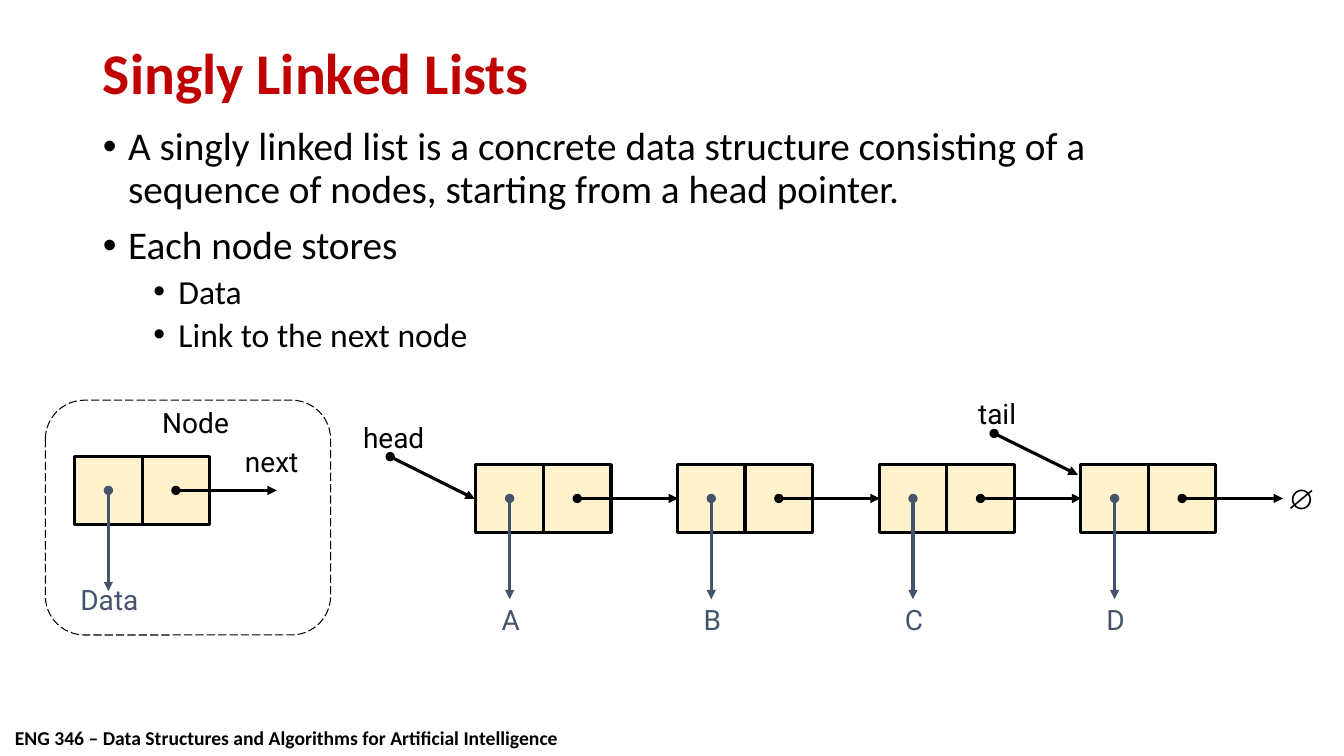
"""Build the slide on singly linked lists."""
from lxml.etree import SubElement
from pptx import Presentation
from pptx.dml.color import RGBColor
from pptx.enum.dml import MSO_LINE
from pptx.enum.shapes import MSO_CONNECTOR, MSO_SHAPE
from pptx.enum.text import MSO_ANCHOR, MSO_AUTO_SIZE, PP_ALIGN
from pptx.oxml.ns import qn
from pptx.util import Inches, Pt

TITLE = "Singly Linked Lists"
POINTS = [
    (0, "A singly linked list is a concrete data structure consisting of a "
        "sequence of nodes, starting from a head pointer."),
    (0, "Each node stores"),
    (1, "Data"),
    (1, "Link to the next node"),
]
FOOTER = "ENG 346 – Data Structures and Algorithms for Artificial Intelligence"
ITEMS = ["A", "B", "C", "D"]
LABELS = [
    ("next", 2.31, 4.36, 0.77),
    ("Node", 1.49, 3.97, 0.9),
    ("head", 3.48, 4.12, 0.85),
    ("tail", 9.59, 3.88, 0.6),
]
POINTERS = [(3.87, 4.53, 4.71, 4.95), (9.86, 4.3, 10.69, 4.71)]
BLACK, RED, SLATE, CREAM = "000000", "C00000", "44546A", "FFF2CC"
CELL, REACH, STEP = 0.67, 1, 2
LEFT, TOP = 4.72, 4.61


def tint(code):
    return RGBColor.from_string(code)


def write(para, text, size=20, font="Roboto", color=BLACK, bold=False,
          align=PP_ALIGN.LEFT):
    para.alignment = align
    run = para.add_run()
    run.text = text
    run.font.size = Pt(size)
    run.font.name = font
    run.font.bold = bold
    run.font.color.rgb = tint(color)


def place(shape, x, y, w, h):
    shape.left, shape.top = Inches(x), Inches(y)
    shape.width, shape.height = Inches(w), Inches(h)


def label(text, x, y, w, h=0.43, align=PP_ALIGN.CENTER, **form):
    box = slide.shapes.add_textbox(Inches(x), Inches(y), Inches(w), Inches(h))
    box.text_frame.word_wrap = False
    write(box.text_frame.paragraphs[0], text, align=align, **form)


def block(kind, x, y, w, h, width, fill=None):
    shape = slide.shapes.add_shape(
        kind, Inches(x), Inches(y), Inches(w), Inches(h))
    shape.shadow.inherit = False
    if fill:
        shape.fill.solid()
        shape.fill.fore_color.rgb = tint(fill)
    else:
        shape.fill.background()
    shape.line.color.rgb = tint(BLACK)
    shape.line.width = Pt(width)
    return shape


def arrow(x1, y1, x2, y2, color=BLACK):
    link = slide.shapes.add_connector(
        MSO_CONNECTOR.STRAIGHT, Inches(x1), Inches(y1), Inches(x2), Inches(y2))
    link.line.color.rgb = tint(color)
    link.line.width = Pt(2.25)
    line = link.line._get_or_add_ln()
    SubElement(line, qn("a:headEnd"), type="oval")
    SubElement(line, qn("a:tailEnd"), type="triangle")
    SubElement(link._element.spPr, qn("a:effectLst"))


def node(x, y, text, drop, w):
    for col in range(2):
        block(MSO_SHAPE.RECTANGLE, x + col * CELL, y, CELL, CELL, 2.25, CREAM)
    mid, row = x + CELL / 2, y + CELL / 2
    arrow(mid, row, mid, row + REACH, SLATE)
    arrow(mid + CELL, row, mid + CELL + REACH, row)
    label(text, mid + 0.01 - w / 2, y + drop, w, color=SLATE)


def bullet(para, level, text, first):
    para.level = level
    props = para._p.get_or_add_pPr()
    props.set("marL", str(Inches(0.25 + level * 0.5)))
    props.set("indent", str(Inches(-0.25)))
    para.line_spacing = 0.9
    para.space_before = Pt(0 if first else 10 - 5 * level)
    SubElement(props, qn("a:buFont"), typeface="Arial")
    SubElement(props, qn("a:buChar"), char="•")
    write(para, text, size=28 - 4 * level, font="Calibri")


deck = Presentation()
deck.slide_width, deck.slide_height = Inches(13.33), Inches(7.5)
slide = deck.slides.add_slide(deck.slide_layouts[1])

title, body = slide.placeholders
place(title, 0.92, 0.4, 11.5, 0.7)
title.text_frame.vertical_anchor = MSO_ANCHOR.MIDDLE
title.text_frame.auto_size = MSO_AUTO_SIZE.NONE
head = title.text_frame.paragraphs[0]
head.line_spacing = 0.9
write(head, TITLE, size=41.1, font="Calibri", color=RED, bold=True)

place(body, 0.92, 1.21, 11.5, 2.48)
frame = body.text_frame
frame.auto_size = MSO_AUTO_SIZE.NONE
for i, (level, text) in enumerate(POINTS):
    para = frame.add_paragraph() if i else frame.paragraphs[0]
    bullet(para, level, text, i == 0)

label(FOOTER, 0.05, 7.15, 5.63, 0.33, align=PP_ALIGN.LEFT,
      size=14, font="Calibri", bold=True)

panel = block(MSO_SHAPE.ROUNDED_RECTANGLE, 0.45, 3.97, 2.83, 2.33, 0.75)
panel.line.dash_style = MSO_LINE.LONG_DASH
node(0.74, 4.53, "Data", 1.2, 0.81)
for i, item in enumerate(ITEMS):
    node(LEFT + i * STEP, TOP, item, 1.32, 0.38)
for ends in POINTERS:
    arrow(*ends)
for spot in LABELS:
    label(*spot)
label("∅", 12.67, 4.73, 0.47, font="Arial", bold=True)

deck.save("out.pptx")
